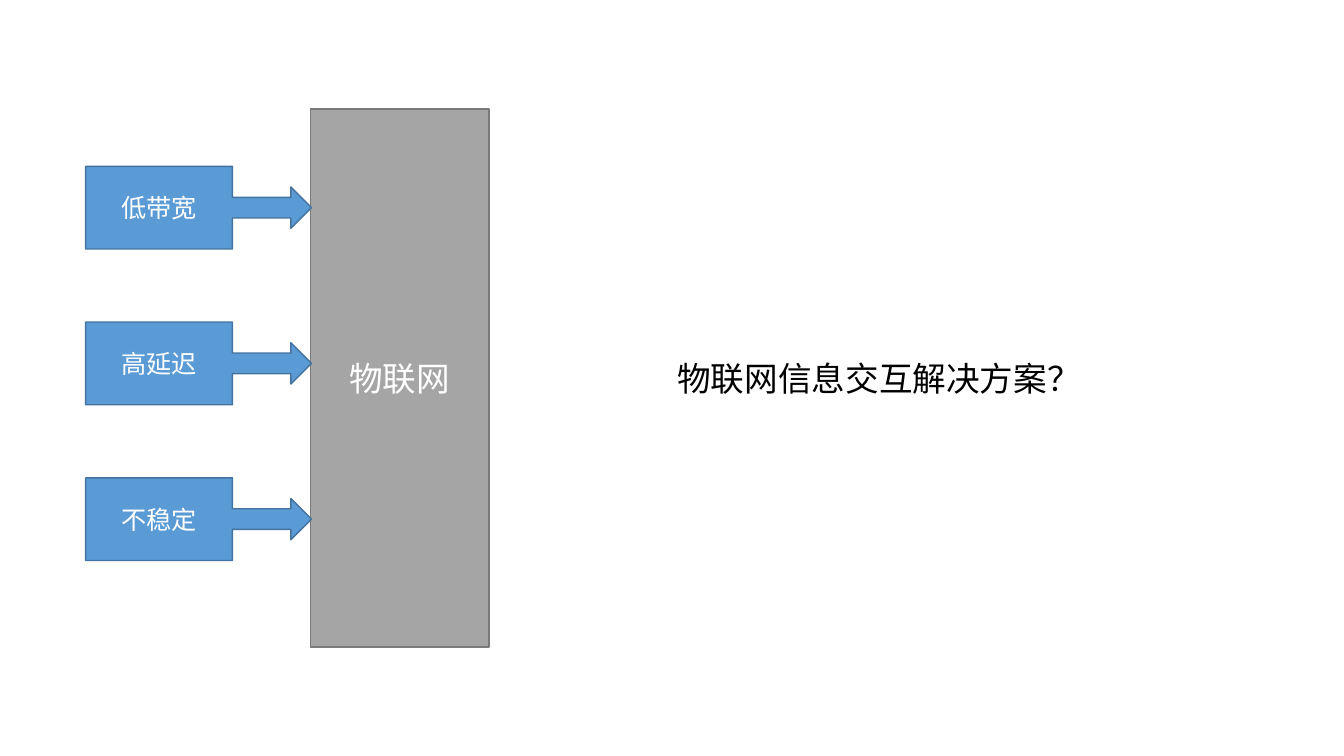
from dataclasses import dataclass

from pptx import Presentation
from pptx import util as u
from pptx.dml.color import RGBColor
from pptx.enum import shapes, text


@dataclass(frozen=True)
class Theme:
    font: str = "Calibri"
    background: str = "FFFFFF"
    on_fill: str = "FFFFFF"
    ink: str = "000000"
    network_fill: str = "A5A5A5"
    network_line: str = "7A7A7A"
    constraint_fill: str = "5B9BD5"
    constraint_line: str = "43739E"
    large: int = 24
    normal: int = 18
    line_width: int = 1


THEME = Theme()
WIDTH, HEIGHT = 13.33, 7.5

# Layout in inches: constraints point at the left edge of the network block
CONSTRAINTS = ("低带宽", "高延迟", "不稳定")
CONSTRAINT_LEFT, CONSTRAINT_TOP = 0.85, 1.65
CONSTRAINT_SIZE = (2.24, 0.82)
CONSTRAINT_PITCH = 1.545
NETWORK_BOX = (3.08, 1.08, 1.77, 5.34)
QUESTION_BOX = (6.62, 3.5, 4.9, 0.5)


def inches(box):
    return [u.Inches(length) for length in box]


def write(frame, words, size, color, align):
    frame.word_wrap = True
    paragraph = frame.paragraphs[0]
    paragraph.text = words
    paragraph.alignment = align
    paragraph.font.name = THEME.font
    paragraph.font.size = u.Pt(size)
    paragraph.font.color.rgb = RGBColor.from_string(color)


def add_block(slide, kind, box, words, size, fill, line):
    block = slide.shapes.add_shape(kind, *inches(box))
    block.shadow.inherit = False
    block.fill.solid()
    block.fill.fore_color.rgb = RGBColor.from_string(fill)
    block.line.color.rgb = RGBColor.from_string(line)
    block.line.width = u.Pt(THEME.line_width)
    block.text_frame.vertical_anchor = text.MSO_ANCHOR.MIDDLE
    write(block.text_frame, words, size, THEME.on_fill, text.PP_ALIGN.CENTER)


def add_question(slide, box, words):
    question = slide.shapes.add_textbox(*inches(box))
    write(question.text_frame, words, THEME.large, THEME.ink, text.PP_ALIGN.LEFT)
    question.text_frame.auto_size = text.MSO_AUTO_SIZE.SHAPE_TO_FIT_TEXT


def main():
    deck = Presentation()
    deck.slide_width, deck.slide_height = inches((WIDTH, HEIGHT))
    slide = deck.slides.add_slide(deck.slide_layouts[6])
    slide.background.fill.solid()
    slide.background.fill.fore_color.rgb = RGBColor.from_string(THEME.background)

    # Network block
    add_block(slide, shapes.MSO_SHAPE.RECTANGLE, NETWORK_BOX, "物联网",
              THEME.large, THEME.network_fill, THEME.network_line)

    # Constraints acting on the network
    for row, constraint in enumerate(CONSTRAINTS):
        top = CONSTRAINT_TOP + row * CONSTRAINT_PITCH
        add_block(slide, shapes.MSO_SHAPE.RIGHT_ARROW_CALLOUT,
                  (CONSTRAINT_LEFT, top, *CONSTRAINT_SIZE), constraint,
                  THEME.normal, THEME.constraint_fill, THEME.constraint_line)

    # Open question
    add_question(slide, QUESTION_BOX, "物联网信息交互解决方案？")

    deck.save("out.pptx")


if __name__ == "__main__":
    main()
